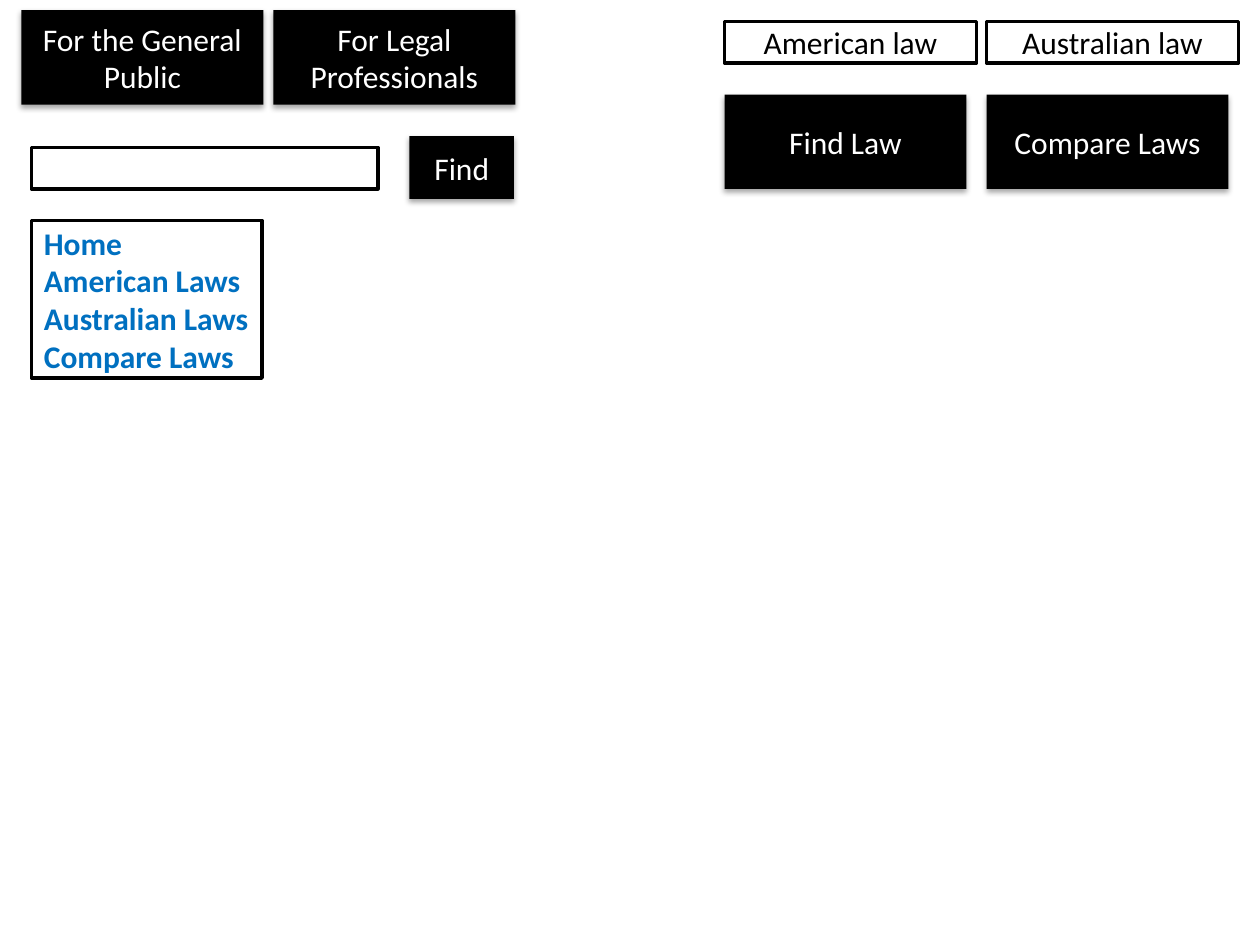
from lxml import etree
from pptx import Presentation
from pptx.dml.color import RGBColor
from pptx.enum.shapes import MSO_SHAPE
from pptx.enum.text import MSO_ANCHOR, PP_ALIGN
from pptx.oxml.ns import qn
from pptx.util import Inches, Pt

RECT = MSO_SHAPE.RECTANGLE
MIDDLE = MSO_ANCHOR.MIDDLE
LEFT, CENTER = PP_ALIGN.LEFT, PP_ALIGN.CENTER
BLACK = RGBColor(0x00, 0x00, 0x00)
WHITE = RGBColor(0xFF, 0xFF, 0xFF)
LINK_BLUE = RGBColor(0x00, 0x70, 0xC0)


def write_text(tf, text, *, color, font, size, bold=False, align=CENTER):
    """Write each line of text as a formatted paragraph."""
    tf.word_wrap = True
    tf.vertical_anchor = MIDDLE
    for i, line in enumerate(text.split("\n")):
        p = tf.paragraphs[0] if i == 0 else tf.add_paragraph()
        p.alignment = align
        r = p.add_run()
        r.text = line
        r.font.name, r.font.size, r.font.bold = font, Pt(size), bold
        r.font.color.rgb = color


def add_shadow(sp):
    """Give a shape a soft shadow straight below it."""
    effects = sp._element.spPr.find(qn("a:effectLst"))
    shadow = etree.SubElement(effects, qn("a:outerShdw"), blurRad=str(Pt(3.15)),
                              dist=str(Pt(1.8)), dir="5400000", rotWithShape="0")
    color = etree.SubElement(shadow, qn("a:srgbClr"), val=str(BLACK))
    etree.SubElement(color, qn("a:alpha"), val="35000")


class Wireframe:
    """Holds the style and the current slide."""

    font, size, line_width = "Calibri", 18, 2

    def __init__(self, prs):
        """Start a blank slide."""
        self.s = prs.slides.add_slide(prs.slide_layouts[6])

    def rect(self, x, y, w, h, fill):
        """Add a plain filled rectangle."""
        sp = self.s.shapes.add_shape(RECT, Inches(x), Inches(y), Inches(w), Inches(h))
        sp.shadow.inherit = False
        sp.fill.solid()
        sp.fill.fore_color.rgb = fill
        sp.line.fill.background()
        return sp

    def button(self, text, x, y, w=1.92, h=0.75):
        """Add a black button with a shadow."""
        sp = self.rect(x, y, w, h, BLACK)
        add_shadow(sp)
        write_text(sp.text_frame, text, color=WHITE, font=self.font, size=self.size)

    def box(self, x, y, w, h=0.33, text="", color=BLACK, **fmt):
        """Add a white outlined box, with text if there is any."""
        sp = self.rect(x, y, w, h, WHITE)
        sp.line.color.rgb = BLACK
        sp.line.width = Pt(self.line_width)
        if text:
            write_text(sp.text_frame, text, color=color, font=self.font,
                       size=self.size, **fmt)


prs = Presentation()
prs.slide_width, prs.slide_height = Inches(10), Inches(7.5)
page = Wireframe(prs)

# Search row
page.box(0.25, 1.17, 2.75)
page.button("Find", 3.25, 1.08, w=0.83, h=0.5)

# Law columns
for x, law, action in ((5.75, "American law", "Find Law"),
                       (7.83, "Australian law", "Compare Laws")):
    page.box(x, 0.17, 2, text=law)
    page.button(action, x, 0.75)

# Navigation menu
page.box(0.25, 1.75, 1.83, 1.25, "Home\nAmerican Laws\nAustralian Laws\nCompare Laws",
         LINK_BLUE, bold=True, align=LEFT)

# Audience buttons
for i, audience in enumerate(("For the General Public", "For Legal Professionals")):
    page.button(audience, 0.17 + 2 * i, 0.08)

prs.save("out.pptx")
